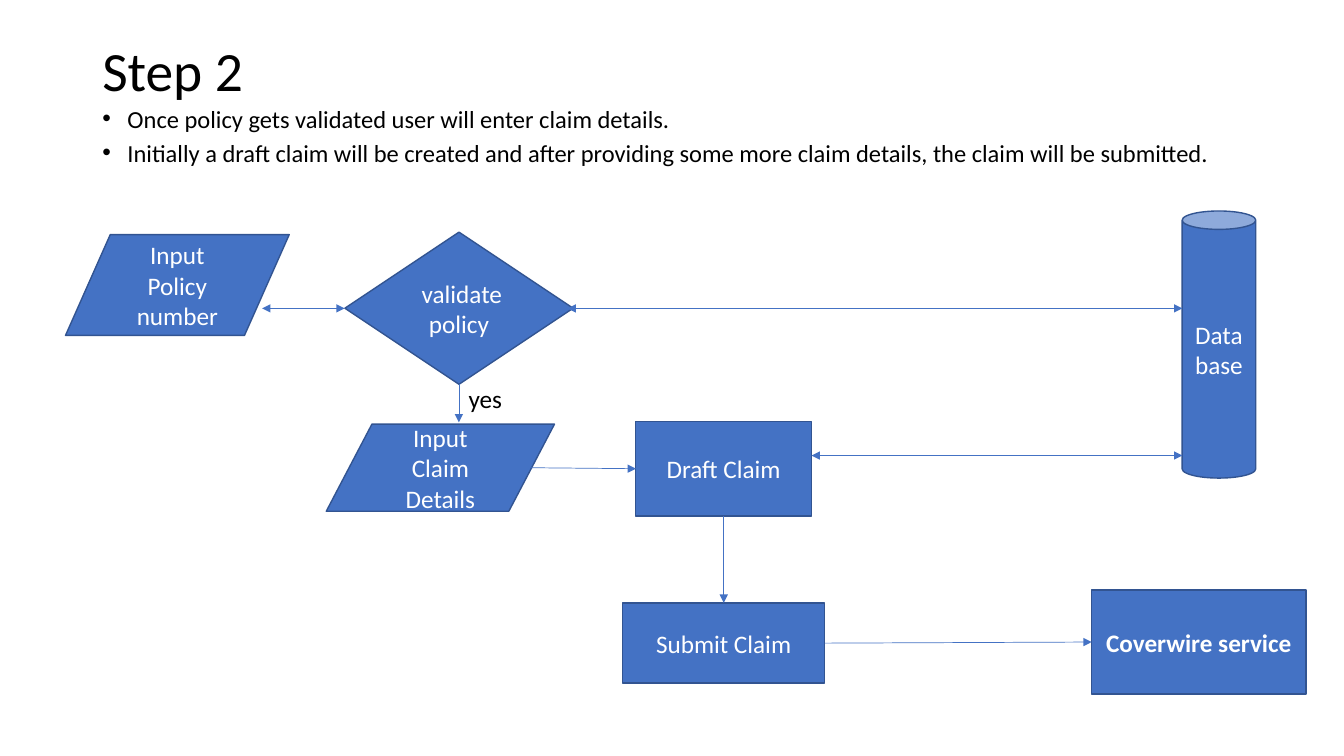
from lxml import etree
from pptx import Presentation
from pptx.dml.color import RGBColor
from pptx.enum.shapes import MSO_CONNECTOR, MSO_SHAPE
from pptx.enum.text import MSO_ANCHOR, PP_ALIGN
from pptx.oxml.ns import qn
from pptx.util import Pt

STRAIGHT = MSO_CONNECTOR.STRAIGHT
DATA = MSO_SHAPE.FLOWCHART_DATA
DECISION = MSO_SHAPE.FLOWCHART_DECISION
PROCESS = MSO_SHAPE.FLOWCHART_PROCESS
RECTANGLE = MSO_SHAPE.RECTANGLE
CAN = MSO_SHAPE.CAN
TOP, MIDDLE = MSO_ANCHOR.TOP, MSO_ANCHOR.MIDDLE
CENTER = PP_ALIGN.CENTER

COLORS = {"text": "000000", "light": "FFFFFF", "fill": "4472C4", "outline": "325491"}


class FlowSlide:
    """Draws the elements of a flowchart slide in one shared style."""

    font = "Calibri"

    def __init__(self, slide):
        self.slide = slide

    def color(self, name):
        return RGBColor.from_string(COLORS[name])

    def add_run(self, paragraph, text, size, color, bold=False):
        run = paragraph.add_run()
        run.text = text
        run.font.name = self.font
        run.font.size = Pt(size)
        run.font.bold = bold
        run.font.color.rgb = self.color(color)

    def text(self, box, lines, size, anchor=TOP, spacing=1.0, bullets=False):
        shape = self.slide.shapes.add_textbox(*map(Pt, box))
        frame = shape.text_frame
        frame.word_wrap = True
        frame.vertical_anchor = anchor
        for index, line in enumerate(lines):
            paragraph = frame.add_paragraph() if index else frame.paragraphs[0]
            paragraph.line_spacing = spacing
            if bullets:
                self.bullet(paragraph)
            self.add_run(paragraph, line, size, "text")

    def bullet(self, paragraph):
        paragraph.space_before = Pt(10)
        properties = paragraph._p.get_or_add_pPr()
        properties.set("marL", str(Pt(18)))
        properties.set("indent", str(Pt(-18)))
        etree.SubElement(properties, qn("a:buFont")).set("typeface", "Arial")
        etree.SubElement(properties, qn("a:buChar")).set("char", "•")

    def node(self, kind, box, text, bold=False):
        shape = self.slide.shapes.add_shape(kind, *map(Pt, box))
        shape.shadow.inherit = False
        shape.fill.solid()
        shape.fill.fore_color.rgb = self.color("fill")
        shape.line.color.rgb = self.color("outline")
        shape.line.width = Pt(1)
        frame = shape.text_frame
        frame.word_wrap = True
        frame.vertical_anchor = MIDDLE
        paragraph = frame.paragraphs[0]
        paragraph.alignment = CENTER
        self.add_run(paragraph, text, 18, "light", bold)

    def arrow(self, start, end, both=False):
        connector = self.slide.shapes.add_connector(STRAIGHT, *map(Pt, start + end))
        connector.line.color.rgb = self.color("fill")
        connector.line.width = Pt(0.5)
        line = connector.line._get_or_add_ln()
        for tag in ("a:headEnd", "a:tailEnd") if both else ("a:tailEnd",):
            etree.SubElement(line, qn(tag)).set("type", "triangle")
        etree.SubElement(connector._element.spPr, qn("a:effectLst"))


def main():
    presentation = Presentation()
    presentation.slide_width = Pt(960)
    presentation.slide_height = Pt(540)
    flow = FlowSlide(presentation.slides.add_slide(presentation.slide_layouts[6]))

    flow.text((66, 28.8, 828, 47.5), ["Step 2"], 39.6, MIDDLE, 0.9)
    flow.text((66, 76.3, 828, 63.4), [
        "Once policy gets validated user will enter claim details.",
        "Initially a draft claim will be created and after providing some more "
        "claim details, the claim will be submitted.",
    ], 17.5, spacing=0.7, bullets=True)

    for kind, box, text in (
        (DATA, (46.8, 167.6, 159.8, 72), "Input Policy number"),
        (CAN, (844.4, 150.7, 52.6, 190.8), "Database"),
        (RECTANGLE, (454.1, 301.2, 125.5, 67.4), "Draft Claim"),
        (PROCESS, (444.8, 430.7, 144.2, 57.2), "Submit Claim"),
        (DECISION, (246.4, 165.8, 163, 108.7), " validate policy"),
        (DATA, (233.1, 303, 163, 62.2), "Input Claim Details"),
    ):
        flow.node(kind, box, text)
    flow.node(PROCESS, (779.8, 421.4, 153, 74.4), "Coverwire service", bold=True)
    flow.text((327.6, 270.2, 80, 28.8), ["yes"], 18)

    for start, end, both in (
        ((405.4, 220.3), (844.6, 220.3), True),
        ((187.2, 220.3), (246.2, 220.3), True),
        ((327.8, 274.3), (327.8, 301.7), False),
        ((379.4, 334.1), (454.3, 334.8), False),
        ((579.6, 325.4), (844.6, 325.4), True),
        ((517, 368.6), (517, 430.6), False),
        ((589, 459.4), (779.8, 458.6), False),
    ):
        flow.arrow(start, end, both)

    presentation.save("out.pptx")


if __name__ == "__main__":
    main()
